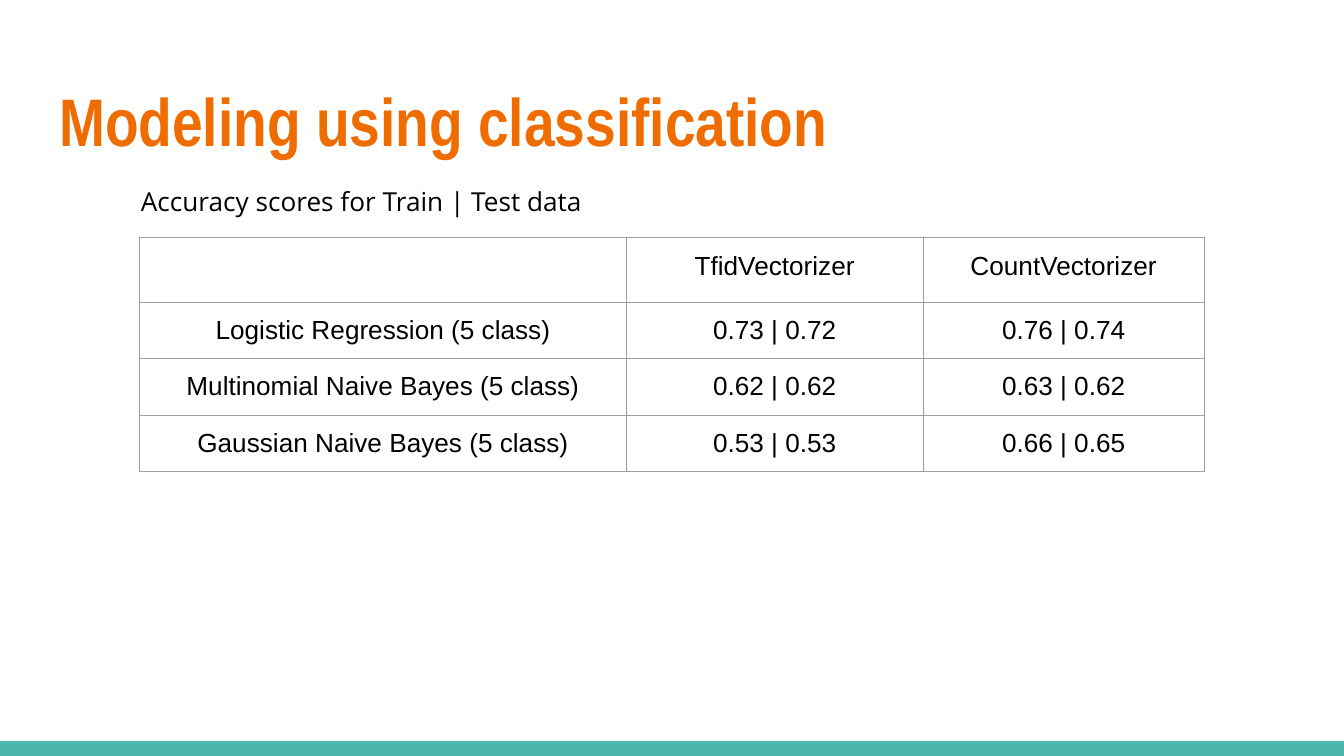
"""Build a slide with a table of classifier accuracy scores."""
from lxml.etree import SubElement
from pptx import Presentation
from pptx.dml.color import RGBColor
from pptx.enum.shapes import MSO_SHAPE
from pptx.enum.text import MSO_ANCHOR, MSO_AUTO_SIZE, PP_ALIGN
from pptx.oxml.ns import qn
from pptx.util import Inches, Pt

TITLE = "Modeling using classification"
CAPTION = "Accuracy scores for Train | Test data"
SCORES = [
    ("", "TfidVectorizer", "CountVectorizer"),
    ("Logistic Regression (5 class)", "0.73 | 0.72", "0.76 | 0.74"),
    ("Multinomial Naive Bayes (5 class)", "0.62 | 0.62", "0.63 | 0.62"),
    ("Gaussian Naive Bayes (5 class)", "0.53 | 0.53", "0.66 | 0.65"),
]
COL_WIDTHS = [3.62, 2.21, 2.09]
ROW_HEIGHTS = [0.48, 0.42, 0.42, 0.42]
COLORS = {"title": "EF6C00", "text": "000000", "grid": "9E9E9E", "bar": "4DB6AC"}


def style(p, font, size, color, bold=False, align=PP_ALIGN.LEFT):
    p.alignment = align
    p.font.name, p.font.size, p.font.bold = font, Pt(size), bold
    p.font.color.rgb = RGBColor.from_string(COLORS[color])


def set_margins(obj):
    obj.margin_left = obj.margin_right = Inches(0.1)
    obj.margin_top = obj.margin_bottom = Inches(0.1)


def fill_frame(tf, text):
    tf.text = text
    tf.word_wrap = True
    tf.auto_size = MSO_AUTO_SIZE.NONE
    tf.vertical_anchor = MSO_ANCHOR.TOP
    set_margins(tf)
    return tf.paragraphs[0]


def add_borders(cell):
    tcPr = cell._tc.get_or_add_tcPr()
    for i, side in enumerate(("a:lnL", "a:lnR", "a:lnT", "a:lnB")):
        ln = tcPr.makeelement(qn(side), {"w": str(Pt(0.75))})
        tcPr.insert(i, ln)
        fill = SubElement(ln, qn("a:solidFill"))
        SubElement(fill, qn("a:srgbClr"), val=COLORS["grid"])


def add_scores(s):
    frame = s.shapes.add_table(
        len(SCORES), len(COL_WIDTHS), Inches(1.04), Inches(1.77),
        Inches(sum(COL_WIDTHS)), Inches(sum(ROW_HEIGHTS)))
    table = frame.table
    table.first_row = table.horz_banding = False
    for col, width in zip(table.columns, COL_WIDTHS):
        col.width = Inches(width)
    for row, height, values in zip(table.rows, ROW_HEIGHTS, SCORES):
        row.height = Inches(height)
        for cell, value in zip(row.cells, values):
            cell.fill.background()
            add_borders(cell)
            if value:
                set_margins(cell)
                cell.text = value
                style(cell.text_frame.paragraphs[0], "Arial", 14, "text",
                      align=PP_ALIGN.CENTER)


def main():
    prs = Presentation()
    prs.slide_width = Inches(10)
    prs.slide_height = prs.slide_width * 9 // 16
    s = prs.slides.add_slide(prs.slide_layouts[5])

    title = s.shapes.title
    title.left, title.top = Inches(0.34), Inches(0.49)
    title.width, title.height = Inches(9.32), Inches(0.77)
    p = fill_frame(title.text_frame, TITLE)
    style(p, "Arial Narrow", 36, "title", bold=True)

    bar_height = Inches(0.11)
    bar = s.shapes.add_shape(
        MSO_SHAPE.RECTANGLE, 0, prs.slide_height - bar_height,
        prs.slide_width, bar_height)
    bar.shadow.inherit = False
    bar.fill.solid()
    bar.fill.fore_color.rgb = RGBColor.from_string(COLORS["bar"])
    bar.line.fill.background()

    add_scores(s)

    caption = s.shapes.add_textbox(
        Inches(0.95), Inches(1.28), Inches(4.87), Inches(0.41))
    p = fill_frame(caption.text_frame, CAPTION)
    style(p, "Open Sans", 14, "text")

    prs.save("out.pptx")


if __name__ == "__main__":
    main()
